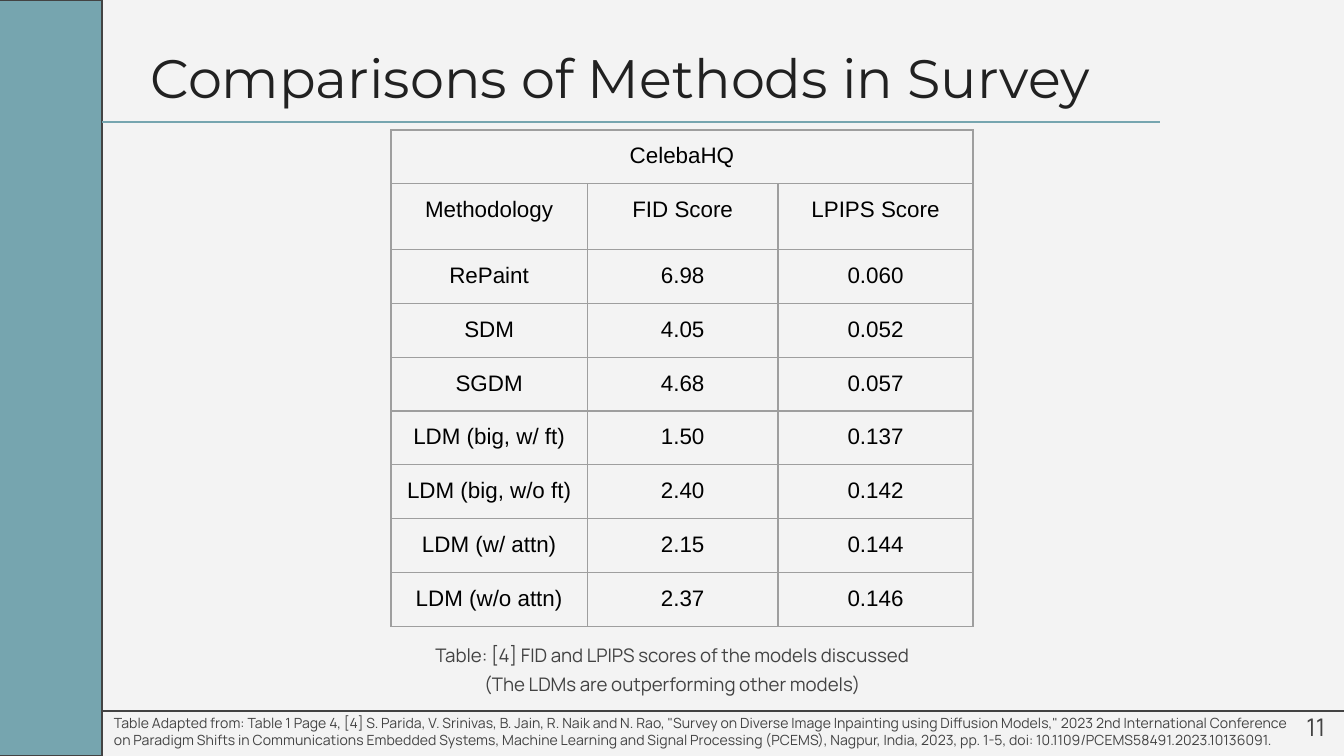
from dataclasses import dataclass

from lxml import etree
from pptx import Presentation
from pptx import util as u
from pptx.dml.color import RGBColor
from pptx.enum import shapes, text
from pptx.oxml import ns


@dataclass(frozen=True)
class Theme:
    background: str = "F3F3F3"
    accent: str = "76A5AF"
    heading: str = "212121"
    muted: str = "434343"
    ink: str = "000000"
    grid: str = "9E9E9E"
    heading_font: str = "Montserrat"
    body_font: str = "Manrope"
    table_font: str = "Arial"
    title_size: float = 29
    number_size: float = 13
    table_size: float = 12
    caption_size: float = 10
    source_size: float = 7.5
    line_width: float = 0.75


THEME = Theme()
WIDTH = u.Inches(10)
HEIGHT = u.Emu(WIDTH * 9 // 16)
PADDING = u.Inches(0.1)

COLUMNS = (14.6, 14.2, 14.5)  # percent of the slide width
ROW, HEADER_ROW = 5.69, 8.71  # percent of the slide height
SCORES = (
    ("CelebaHQ", "", ""),
    ("Methodology", "FID Score", "LPIPS Score"),
    ("RePaint", "6.98", "0.060"),
    ("SDM", "4.05", "0.052"),
    ("SGDM", "4.68", "0.057"),
    ("LDM (big, w/ ft)", "1.50", "0.137"),
    ("LDM (big, w/o ft)", "2.40", "0.142"),
    ("LDM (w/ attn)", "2.15", "0.144"),
    ("LDM (w/o attn)", "2.37", "0.146"),
)
CAPTION = (
    "Table: [4] FID and LPIPS scores of the models discussed",
    "(The LDMs are outperforming other models)",
)
SOURCE = (
    "Table Adapted from: Table 1 Page 4, [4] S. Parida, V. Srinivas, B. Jain, "
    "R. Naik and N. Rao, \"Survey on Diverse Image Inpainting using Diffusion "
    "Models,\" 2023 2nd International Conference on Paradigm Shifts in "
    "Communications Embedded Systems, Machine Learning and Signal Processing "
    "(PCEMS), Nagpur, India, 2023, pp. 1-5, doi: 10.1109/PCEMS58491.2023.10136091."
)


def across(percent):
    return u.Emu(round(WIDTH * percent / 100))


def down(percent):
    return u.Emu(round(HEIGHT * percent / 100))


def area(left, top, width, height):
    return across(left), down(top), across(width), down(height)


def color(code):
    return RGBColor.from_string(code)


def set_all_scripts(properties, font):
    """Name one font for Latin, East Asian and complex scripts."""
    for script in ("latin", "ea", "cs"):
        tag = ns.qn(f"a:{script}")
        face = properties.find(tag)
        if face is None:
            face = etree.SubElement(properties, tag)
        face.set("typeface", font)


def write(para, lines, font, size, ink):
    """Add the lines as runs, parted by line breaks."""
    for index, line in enumerate(lines):
        if index:
            para.add_line_break()
        span = para.add_run()
        span.text = line
        span.font.name = font
        span.font.size = u.Pt(size)
        span.font.color.rgb = color(ink)
        set_all_scripts(span._r.get_or_add_rPr(), font)
    # The paragraph end takes part in the line height
    end = etree.SubElement(para._p, ns.qn("a:endParaRPr"), sz=str(round(size * 100)))
    set_all_scripts(end, font)


def add_text(page, place, lines, font, size, ink,
             align=text.PP_ALIGN.LEFT, anchor=text.MSO_ANCHOR.TOP):
    box = page.shapes.add_textbox(*place)
    frame = box.text_frame
    frame.word_wrap = True
    frame.vertical_anchor = anchor
    frame.margin_left = frame.margin_right = PADDING
    frame.margin_top = frame.margin_bottom = PADDING
    para = frame.paragraphs[0]
    para.alignment = align
    write(para, lines, font, size, ink)
    return para


def add_rule(page, start, end, top, ink):
    rule = page.shapes.add_connector(
        shapes.MSO_CONNECTOR.STRAIGHT,
        across(start), down(top), across(end), down(top))
    rule.line.color.rgb = color(ink)
    rule.line.width = u.Pt(THEME.line_width)
    etree.SubElement(rule._element.spPr, ns.qn("a:effectLst"))


def add_band(page, place):
    band = page.shapes.add_shape(shapes.MSO_SHAPE.RECTANGLE, *place)
    band.shadow.inherit = False
    band.fill.solid()
    band.fill.fore_color.rgb = color(THEME.accent)
    band.line.color.rgb = color(THEME.muted)
    band.line.width = u.Pt(THEME.line_width)


def add_borders(cell):
    properties = cell._tc.get_or_add_tcPr()
    for index, side in enumerate(("lnL", "lnR", "lnT", "lnB")):
        border = etree.Element(ns.qn(f"a:{side}"), w=str(u.Pt(THEME.line_width)))
        fill = etree.SubElement(border, ns.qn("a:solidFill"))
        etree.SubElement(fill, ns.qn("a:srgbClr"), val=THEME.grid)
        properties.insert(index, border)


def add_score_table(page, left, top):
    heights = [HEADER_ROW if row == 1 else ROW for row in range(len(SCORES))]
    table = page.shapes.add_table(
        len(SCORES), len(COLUMNS),
        *area(left, top, sum(COLUMNS), sum(heights))).table
    table.first_row = table.horz_banding = False
    settings = table._tbl.tblPr
    settings.remove(settings.find(ns.qn("a:tableStyleId")))
    for column, width in zip(table.columns, COLUMNS):
        column.width = across(width)
    for row, height in zip(table.rows, heights):
        row.height = down(height)
    table.cell(0, 0).merge(table.cell(0, len(COLUMNS) - 1))

    for row, values in zip(table.rows, SCORES):
        for cell, value in zip(row.cells, values):
            cell.fill.background()
            cell.margin_left = cell.margin_right = PADDING
            cell.margin_top = cell.margin_bottom = PADDING
            add_borders(cell)
            if value:
                para = cell.text_frame.paragraphs[0]
                para.alignment = text.PP_ALIGN.CENTER
                write(para, [value], THEME.table_font, THEME.table_size, THEME.ink)


def main():
    deck = Presentation()
    deck.slide_width, deck.slide_height = WIDTH, HEIGHT
    page = deck.slides.add_slide(deck.slide_layouts[6])
    page.background.fill.solid()
    page.background.fill.fore_color.rgb = color(THEME.background)

    # Frame: footer rule, side band, title rule
    add_rule(page, 100, 3.9, 94.08, THEME.muted)
    add_band(page, area(-0.2, 0, 7.8, 100))
    add_rule(page, 7.6, 86.3, 16.13, THEME.accent)

    # Title
    add_text(page, area(10.2, 4.09, 76.6, 11.2),
             ["Comparisons of Methods in Survey"],
             THEME.heading_font, THEME.title_size, THEME.heading)

    # Scores and caption
    add_score_table(page, 29.1, 17.2)
    caption = add_text(page, area(17.4, 82.54, 65.2, 7.29), CAPTION,
                       THEME.body_font, THEME.caption_size, THEME.muted,
                       align=text.PP_ALIGN.CENTER)
    caption.line_spacing = 1.29
    caption.space_after = u.Pt(10)

    # Footer: source and page number
    add_text(page, area(7.5, 92.8, 90.3, 8), [SOURCE],
             THEME.body_font, THEME.source_size, THEME.muted)
    add_text(page, area(93.6, 92.27, 6, 7.64), ["11"],
             THEME.body_font, THEME.number_size, THEME.muted,
             align=text.PP_ALIGN.RIGHT, anchor=text.MSO_ANCHOR.MIDDLE)

    deck.save("out.pptx")


if __name__ == "__main__":
    main()
